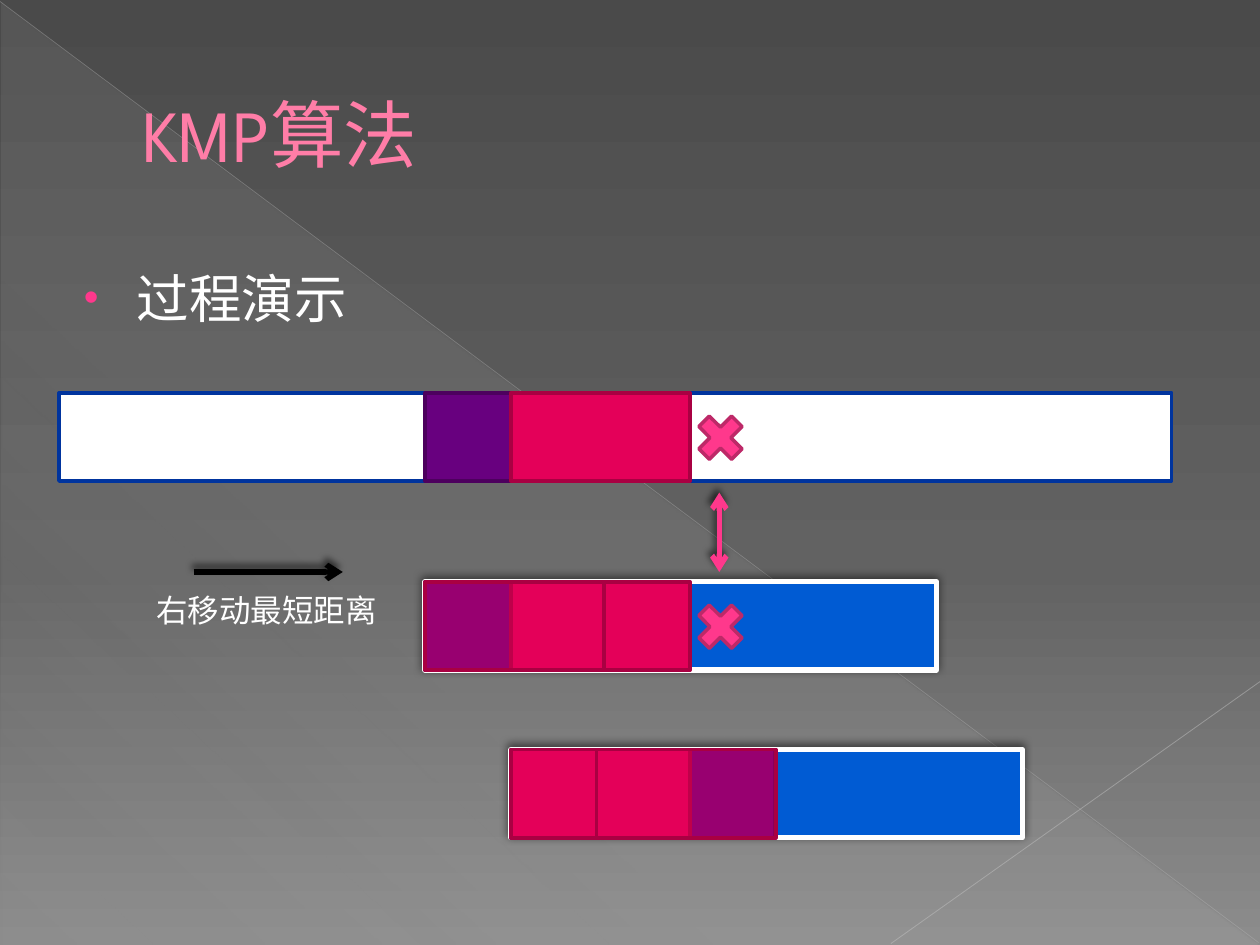
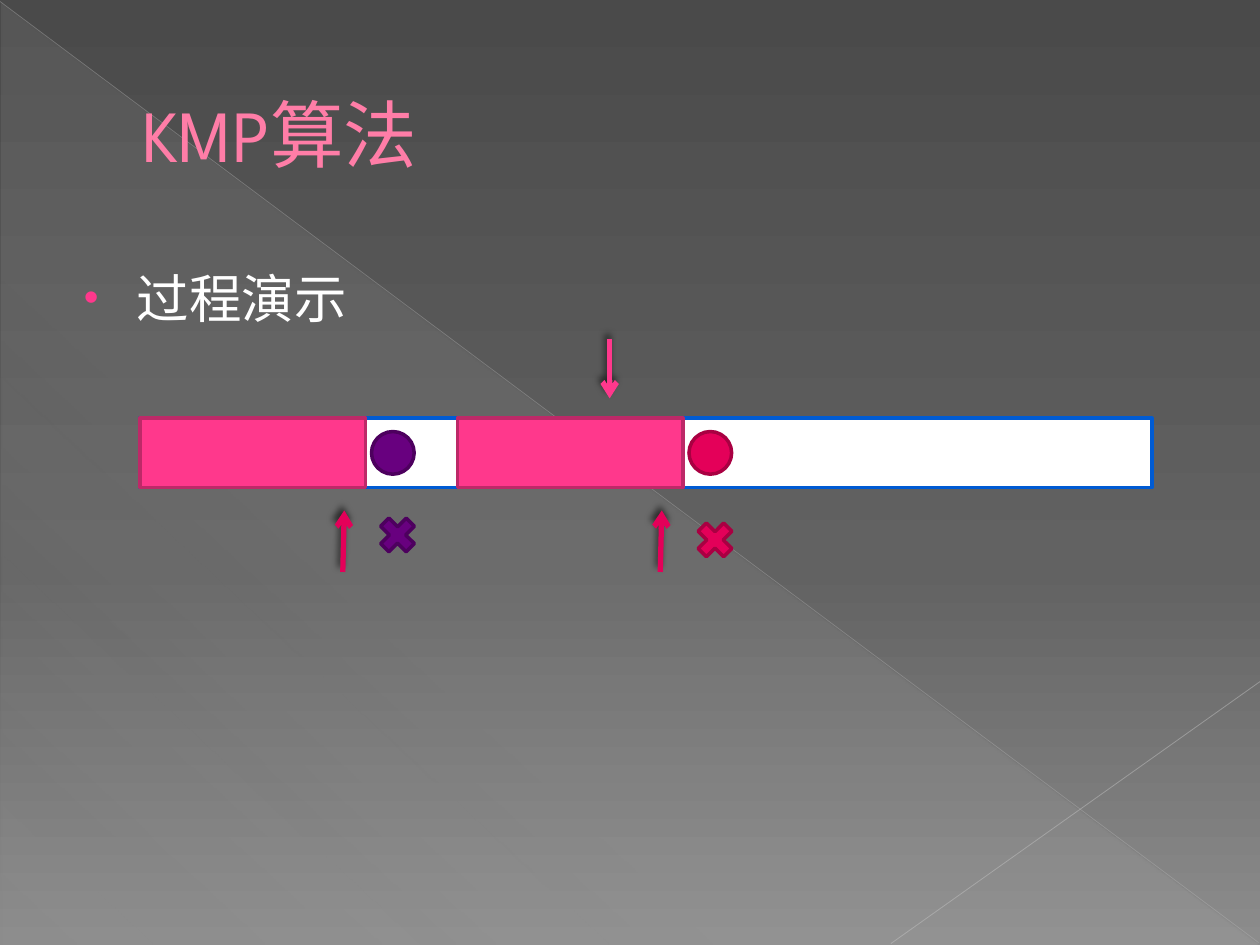
from dataclasses import dataclass
from typing import Optional

from lxml import etree
from pptx import Presentation
from pptx.dml.color import RGBColor
from pptx.enum.shapes import MSO_CONNECTOR, MSO_SHAPE
from pptx.enum.text import MSO_ANCHOR, MSO_AUTO_SIZE
from pptx.oxml.ns import qn
from pptx.util import Cm, Pt

RECT = MSO_SHAPE.RECTANGLE
OVAL = MSO_SHAPE.OVAL
CROSS = MSO_SHAPE.MATH_MULTIPLY
TRIANGLE = MSO_SHAPE.RIGHT_TRIANGLE
STRAIGHT = MSO_CONNECTOR.STRAIGHT
MIDDLE = MSO_ANCHOR.MIDDLE
GROW = MSO_AUTO_SIZE.SHAPE_TO_FIT_TEXT

FONT = "League Spartan"
BLACK = RGBColor(0x00, 0x00, 0x00)
WHITE = RGBColor(0xFF, 0xFF, 0xFF)
TITLE_PINK = RGBColor(0xFF, 0x7D, 0xA7)
TITLE_EDGE = RGBColor(0xB1, 0x27, 0x61)
PINK = RGBColor(0xFF, 0x38, 0x8C)
PINK_EDGE = RGBColor(0xBD, 0x29, 0x68)
RED = RGBColor(0xE4, 0x00, 0x59)
RED_EDGE = RGBColor(0xA9, 0x00, 0x42)
PURPLE = RGBColor(0x68, 0x00, 0x7F)
PURPLE_EDGE = RGBColor(0x4D, 0x00, 0x5E)
BLUE = RGBColor(0x00, 0x5B, 0xD3)
NAVY = RGBColor(0x00, 0x34, 0x9E)
SKY_DARK = RGBColor(0x4A, 0x4A, 0x4A)
SKY_MID = RGBColor(0x62, 0x62, 0x62)
SKY_LIGHT = RGBColor(0x8C, 0x8C, 0x8C)
HAZE = RGBColor(0xD2, 0xD2, 0xD2)
DIAGONAL = RGBColor(0xBF, 0xBF, 0xBF)
CORNER = RGBColor(0xC6, 0xC6, 0xC6)


@dataclass(frozen=True)
class Shadow:
    opacity: int
    blur: float
    distance: float


@dataclass(frozen=True)
class Style:
    fill: RGBColor
    edge: RGBColor
    width: float = 2
    opacity: int = 100
    shadow: Optional[Shadow] = None


@dataclass(frozen=True)
class Stop:
    position: int
    color: RGBColor
    opacity: int = 100


BAR_SHADOW = Shadow(50, 5, 2)
ARROW_SHADOW = Shadow(60, 4, 3)
TEXT_BAR = Style(WHITE, NAVY)
PATTERN_BAR = Style(BLUE, WHITE, 3, shadow=BAR_SHADOW)
STRING_BAR = Style(WHITE, BLUE)
PINK_STYLE = Style(PINK, PINK_EDGE)
RED_STYLE = Style(RED, RED_EDGE)
RED_GLASS = Style(RED, RED_EDGE, opacity=39)
PURPLE_STYLE = Style(PURPLE, PURPLE_EDGE)
BACKGROUND = (Stop(0, SKY_DARK), Stop(60, SKY_MID), Stop(100, SKY_LIGHT))
HAZE_STOPS = (Stop(0, HAZE, 10), Stop(70, HAZE, 8), Stop(100, HAZE, 1))


def sub(parent, tag: str, **attrs):
    return etree.SubElement(parent, qn(tag), {k: str(v) for k, v in attrs.items()})


def add_color(parent, color: RGBColor, opacity: int = 100) -> None:
    clr = sub(parent, "a:srgbClr", val=color)
    if opacity < 100:
        sub(clr, "a:alpha", val=opacity * 1000)


def set_gradient(owner, fill, stops: tuple[Stop, ...], angle: int) -> None:
    fill.gradient()
    grad = next(owner.element.iter(qn("a:gradFill")))
    for child in list(grad):
        grad.remove(child)
    stop_list = sub(grad, "a:gsLst")
    for stop in stops:
        gs = sub(stop_list, "a:gs", pos=stop.position * 1000)
        add_color(gs, stop.color, stop.opacity)
    sub(grad, "a:lin", ang=angle * 60000, scaled=0)


def set_opacity(sp, opacity: int) -> None:
    clr = next(sp.element.spPr.iter(qn("a:srgbClr")))
    sub(clr, "a:alpha", val=opacity * 1000)


def add_shadow(effects, shadow: Shadow) -> None:
    outer = sub(effects, "a:outerShdw", blurRad=Pt(shadow.blur), dist=Pt(shadow.distance),
                dir=245 * 60000, algn="ctr", rotWithShape=0)
    add_color(outer, BLACK, shadow.opacity)


def add_box(s, kind, x: float, y: float, w: float, h: float, style: Style) -> None:
    sp = s.shapes.add_shape(kind, Cm(x), Cm(y), Cm(w), Cm(h))
    sp.fill.solid()
    sp.fill.fore_color.rgb = style.fill
    if style.opacity < 100:
        set_opacity(sp, style.opacity)
    sp.line.color.rgb = style.edge
    sp.line.width = Pt(style.width)
    sp.shadow.inherit = False
    if style.shadow:
        add_shadow(sp.element.spPr.find(qn("a:effectLst")), style.shadow)


def add_line(s, x1: float, y1: float, x2: float, y2: float, color: RGBColor, width: float):
    line = s.shapes.add_connector(STRAIGHT, Cm(x1), Cm(y1), Cm(x2), Cm(y2))
    line.line.color.rgb = color
    line.line.width = Pt(width)
    return line, sub(line.element.spPr, "a:effectLst")


def add_arrow(s, x1: float, y1: float, x2: float, y2: float, color: RGBColor,
              both: bool = False) -> None:
    line, effects = add_line(s, x1, y1, x2, y2, color, 3)
    ln = line.element.spPr.find(qn("a:ln"))
    if both:
        sub(ln, "a:headEnd", type="arrow")
    sub(ln, "a:tailEnd", type="arrow")
    add_shadow(effects, ARROW_SHADOW)


def add_text(s, x: float, y: float, w: float, h: float, text: str, size: int,
             color: RGBColor, wrap: bool = True):
    tf = s.shapes.add_textbox(Cm(x), Cm(y), Cm(w), Cm(h)).text_frame
    tf.word_wrap = wrap
    p = tf.paragraphs[0]
    r = p.add_run()
    r.text = text
    r.font.name = FONT
    r.font.size = Pt(size)
    r.font.color.rgb = color
    return tf, p, r


def set_indent(p, left: float, first: float):
    pPr = p._p.get_or_add_pPr()
    pPr.set("marL", str(Cm(left)))
    pPr.set("indent", str(Cm(first)))
    return pPr


def add_title(s, text: str) -> None:
    tf, p, r = add_text(s, 1.27, 0.74, 22.86, 3.89, text, 42, TITLE_PINK)
    tf.vertical_anchor = MIDDLE
    set_indent(p, 1.35, 0)
    rPr = r.font._element
    ln = sub(rPr, "a:ln", w=Pt(0.5))
    add_color(sub(ln, "a:solidFill"), TITLE_EDGE)
    rPr.insert(0, ln)


def add_bullet(s, text: str) -> None:
    tf, p, r = add_text(s, 1.27, 5.23, 22.86, 12.7, text, 30, WHITE)
    pPr = set_indent(p, 1.24, -1.07)
    sub(sub(pPr, "a:spcBef"), "a:spcPct", val=20000)
    add_color(sub(pPr, "a:buClr"), PINK)
    sub(pPr, "a:buSzPct", val=80000)
    sub(pPr, "a:buFont", typeface="Arial")
    sub(pPr, "a:buChar", char="•")


def add_slide(prs):
    s = prs.slides.add_slide(prs.slide_layouts[6])
    set_gradient(s, s.background.fill, BACKGROUND, 90)
    haze = s.shapes.add_shape(TRIANGLE, Cm(0.03), Cm(0.05), Cm(25.35), Cm(19))
    set_gradient(haze, haze.fill, HAZE_STOPS, 133)
    haze.line.fill.background()
    haze.shadow.inherit = False
    diagonal, _ = add_line(s, 0, 0.03, 25.37, 19, DIAGONAL, 0.39)
    set_opacity(diagonal, 35)
    corner, _ = add_line(s, 25.4, 13.74, 17.96, 19.02, CORNER, 0.47)
    set_opacity(corner, 45)
    add_title(s, "KMP算法")
    add_bullet(s, "过程演示")
    return s


def draw_shift(s) -> None:
    text_y, before_y, after_y = 7.92, 11.73, 15.11
    left, shift, height = 8.57, 1.73, 1.78
    matched, border, pattern = 5.33, 3.61, 10.31
    shifted = left + shift

    add_box(s, RECT, 1.19, text_y, 22.43, height, TEXT_BAR)
    for x, y in ((left, before_y), (shifted, after_y)):
        add_box(s, RECT, x, y, pattern, height, PATTERN_BAR)
    for x, y in ((left, text_y), (left, before_y), (shifted, after_y)):
        add_box(s, RECT, x, y, matched, height, PURPLE_STYLE)
        add_box(s, RECT, shifted, y, border, height, RED_STYLE)
    for x, y in ((left, before_y), (shifted + shift, after_y)):
        add_box(s, RECT, x, y, border, height, RED_GLASS)
    for y in (text_y, before_y):
        add_box(s, CROSS, 13.89, y + 0.27, 1.27, 1.27, PINK_STYLE)

    add_arrow(s, 14.5, 9.93, 14.5, 11.53, PINK, both=True)
    add_arrow(s, 3.91, 11.53, 6.91, 11.53, BLACK)
    tf, p, r = add_text(s, 2.9, 11.79, 5, 1.02, "右移动最短距离", 18, WHITE, wrap=False)
    tf.auto_size = GROW


def draw_prefix(s) -> None:
    left, top, height, step = 2.82, 8.43, 1.4, 6.4
    add_box(s, RECT, left, top, 20.4, height, STRING_BAR)
    for i, (style, cross_y) in enumerate(((PURPLE_STYLE, 10.29), (RED_STYLE, 10.39))):
        x = left + i * step
        add_box(s, RECT, x, top, 4.55, height, PINK_STYLE)
        add_box(s, OVAL, x + 4.67, top + 0.27, 0.86, 0.86, style)
        add_box(s, CROSS, x + 4.7, cross_y, 0.99, 0.99, style)
        add_arrow(s, x + 4.09, 11.53, x + 4.12, 10.29, RED)
    add_arrow(s, 12.29, 6.83, 12.29, 8.03, PINK)


prs = Presentation()
prs.slide_width = Cm(25.4)
prs.slide_height = Cm(19.05)
for draw in (draw_shift, draw_prefix):
    draw(add_slide(prs))
prs.save("out.pptx")
